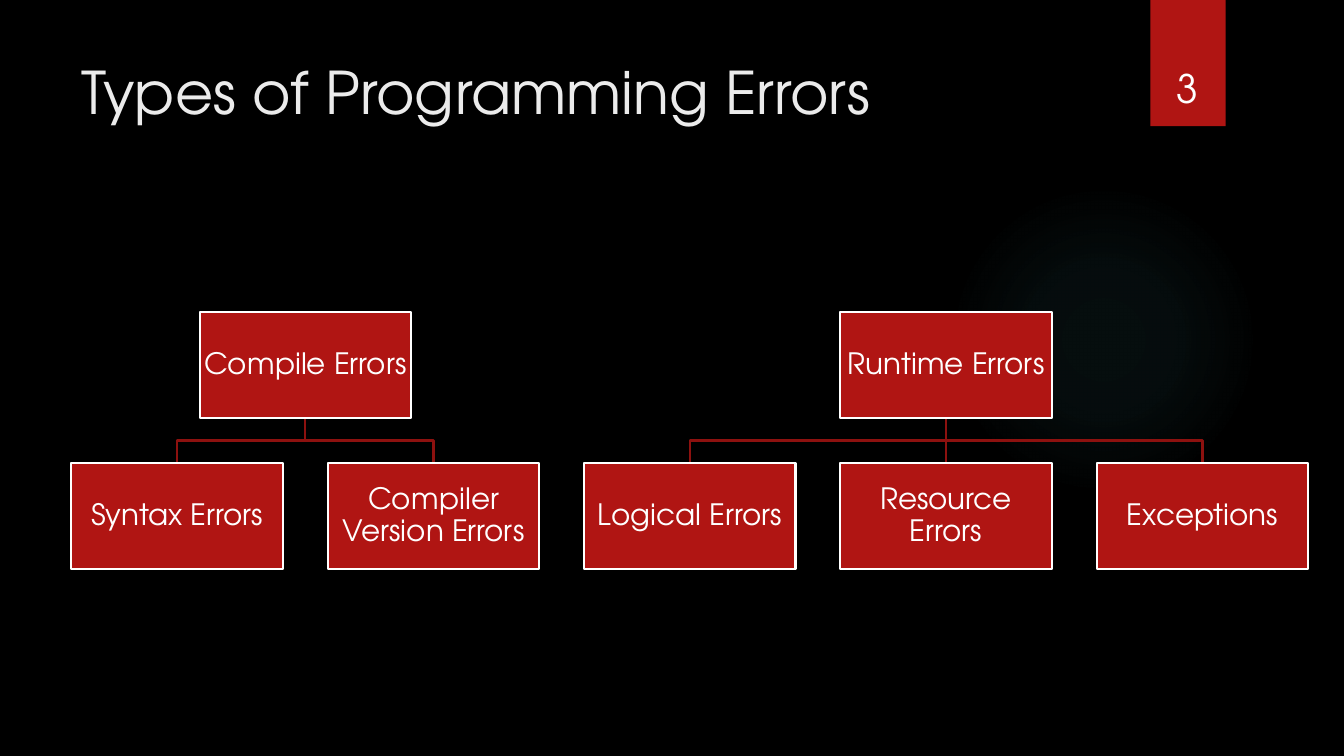
"""Build a slide that charts the types of programming errors as two trees."""
from lxml.etree import SubElement
from pptx import Presentation
from pptx.dml.color import RGBColor
from pptx.enum.shapes import MSO_CONNECTOR, MSO_SHAPE
from pptx.enum.text import MSO_ANCHOR, PP_ALIGN
from pptx.oxml.ns import qn
from pptx.util import Cm, Pt

TITLE = "Types of Programming Errors"
PAGE = "3"
TREES = [
    ("Compile Errors", ["Syntax Errors", "Compiler Version Errors"]),
    ("Runtime Errors", ["Logical Errors", "Resource Errors", "Exceptions"]),
]
FONT = "TeX Gyre Adventor"
RED, DARK, WHITE, PALE = "B01513", "8D110F", "FFFFFF", "EBEBEB"
BLACK, TEAL = "000000", "50B9C1"
GLOW = [(0, 7), (36, 6), (69, 0)]
LEFT, TOP, WIDE, HIGH = 1.8, 7.87, 5.33, 2.67
STEP, DROP = 6.46, 3.79


def paint(part, color):
    part.fill.solid()
    part.fill.fore_color.rgb = RGBColor.from_string(color)


def stroke(line, color):
    paint(line, color)
    line.width = Pt(1.5)


def write(shape, text, size, color, anchor, align, inset=None):
    frame = shape.text_frame
    frame.word_wrap = True
    frame.vertical_anchor = anchor
    if inset is not None:
        frame.margin_left = frame.margin_right = Cm(inset)
        frame.margin_top = frame.margin_bottom = Cm(inset)
    para = frame.paragraphs[0]
    para.alignment = align
    run = para.add_run()
    run.text = text
    run.font.name = FONT
    run.font.size = Pt(size)
    run.font.color.rgb = RGBColor.from_string(color)
    return para


def shape(slide, kind, x, y, w, h, color):
    item = slide.shapes.add_shape(kind, Cm(x), Cm(y), Cm(w), Cm(h))
    item.shadow.inherit = False
    paint(item, color)
    item.line.fill.background()
    return item


def label(slide, x, y, w, h, *style):
    box = slide.shapes.add_textbox(Cm(x), Cm(y), Cm(w), Cm(h))
    write(box, *style)


def glow(slide, x, y, size):
    disc = shape(slide, MSO_SHAPE.OVAL, x, y, size, size, TEAL)
    disc.fill.gradient()
    grad = disc.fill._xPr.find(qn("a:gradFill"))
    for child in list(grad):
        grad.remove(child)
    stops = SubElement(grad, qn("a:gsLst"))
    for pos, alpha in GLOW:
        stop = SubElement(stops, qn("a:gs"), pos=str(pos * 1000))
        tint = SubElement(stop, qn("a:srgbClr"), val=TEAL)
        SubElement(tint, qn("a:alpha"), val=str(alpha * 1000))
    shade = SubElement(grad, qn("a:path"), path="circle")
    SubElement(shade, qn("a:fillToRect"), l="50000", t="50000", r="50000", b="50000")


def node(slide, text, x, y):
    box = shape(slide, MSO_SHAPE.RECTANGLE, x, y, WIDE, HIGH, RED)
    stroke(box.line, WHITE)
    para = write(box, text, 21, WHITE, MSO_ANCHOR.MIDDLE, PP_ALIGN.CENTER, 0.03)
    para.line_spacing = 0.9


def link(slide, start, end):
    top, base = TOP + HIGH, TOP + DROP
    mid = (top + base) / 2
    if abs(start - end) < 0.01:
        wire = slide.shapes.add_connector(
            MSO_CONNECTOR.STRAIGHT, Cm(start), Cm(top), Cm(end), Cm(base))
        SubElement(wire._element.spPr, qn("a:effectLst"))
    else:
        path = slide.shapes.build_freeform(Cm(start), Cm(top))
        bends = [(start, mid), (end, mid), (end, base)]
        path.add_line_segments([(Cm(x), Cm(y)) for x, y in bends], close=False)
        wire = path.convert_to_shape()
        wire.shadow.inherit = False
        wire.fill.background()
    stroke(wire.line, DARK)


def tree(slide, root, leaves, first):
    spots = [LEFT + STEP * (first + i) for i in range(len(leaves))]
    head = (spots[0] + spots[-1]) / 2
    for x in spots:
        link(slide, head + WIDE / 2, x + WIDE / 2)
    node(slide, root, head, TOP)
    for text, x in zip(leaves, spots):
        node(slide, text, x, TOP + DROP)


def main():
    deck = Presentation()
    deck.slide_width, deck.slide_height = Cm(33.87), Cm(19.05)
    slide = deck.slides.add_slide(deck.slide_layouts[6])
    paint(slide.background, BLACK)
    glow(slide, 23.9, 4.65, 7.82)
    shape(slide, MSO_SHAPE.RECTANGLE, 28.99, 0, 1.9, 3.18, RED)
    label(slide, 1.8, 1.27, 26.14, 3.89, TITLE, 42, PALE, MSO_ANCHOR.TOP, PP_ALIGN.LEFT)
    first = 0
    for root, leaves in TREES:
        tree(slide, root, leaves, first)
        first += len(leaves)
    label(slide, 28.75, 0.81, 2.34, 2.13, PAGE, 28, WHITE, MSO_ANCHOR.BOTTOM, PP_ALIGN.CENTER)
    deck.save("out.pptx")


if __name__ == "__main__":
    main()
